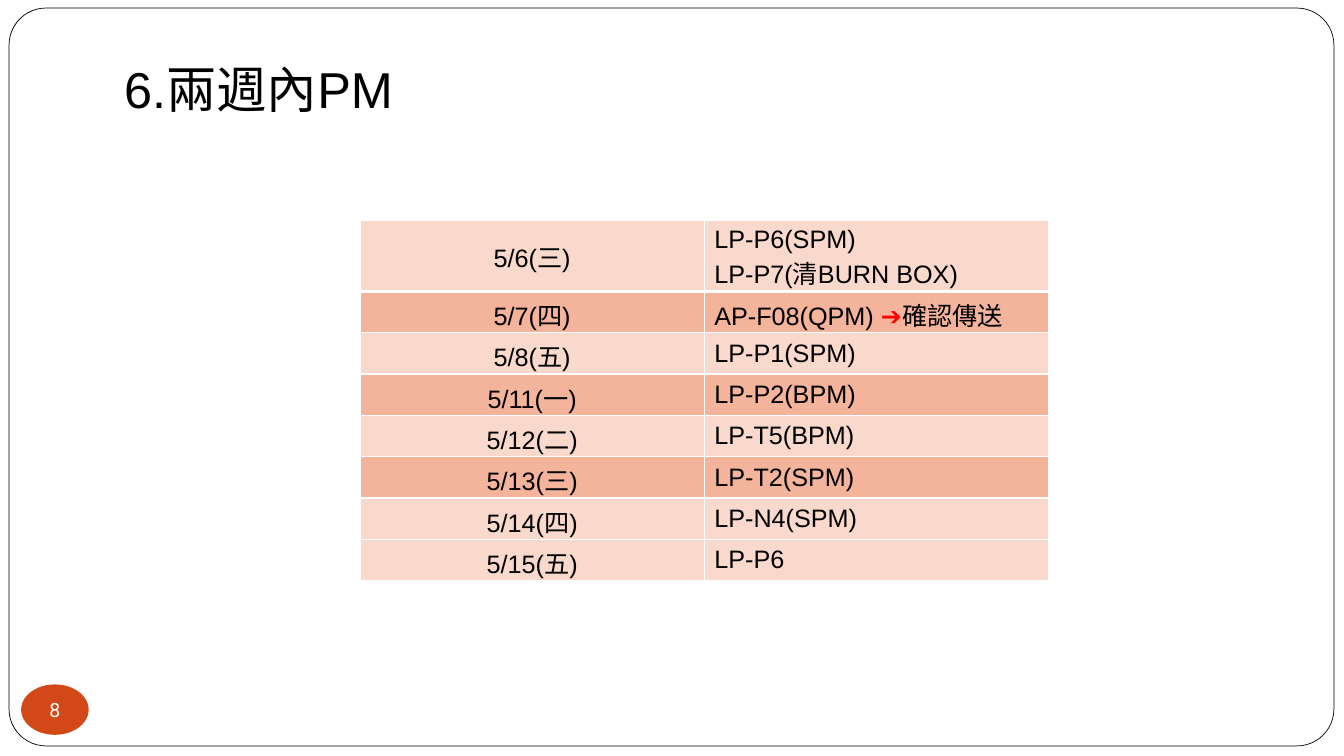
import lxml.etree
import pptx
import pptx.dml.color
import pptx.enum.shapes
import pptx.enum.text
import pptx.oxml.ns
import pptx.util

Inches = pptx.util.Inches
Align = pptx.enum.text.PP_ALIGN
Anchor = pptx.enum.text.MSO_ANCHOR
Shape = pptx.enum.shapes.MSO_SHAPE

LIGHT, DARK = "FAD9CD", "F4B39B"
SCHEDULE = [
    ("5/6(三)", ["LP-P6(SPM)", "LP-P7(清BURN BOX)"], LIGHT),
    ("5/7(四)", [[("AP-F08(QPM)", "000000"), (" ➔", "FF0000"), ("確認傳送", "000000")]], DARK),
    ("5/8(五)", ["LP-P1(SPM)"], LIGHT),
    ("5/11(一)", ["LP-P2(BPM)"], DARK),
    ("5/12(二)", ["LP-T5(BPM)"], LIGHT),
    ("5/13(三)", ["LP-T2(SPM)"], DARK),
    ("5/14(四)", ["LP-N4(SPM)"], LIGHT),
    ("5/15(五)", ["LP-P6"], LIGHT),
]


def rgb(value):
    return pptx.dml.color.RGBColor.from_string(value)


def write(frame, paragraphs, size=18, font="Arial", color="000000", align=Align.LEFT):
    for index, content in enumerate(paragraphs):
        para = frame.paragraphs[0] if index == 0 else frame.add_paragraph()
        para.alignment = align
        spans = [(content, color)] if isinstance(content, str) else content
        for text, span_color in spans:
            span = para.add_run()
            span.text = text
            span.font.size = pptx.util.Pt(size)
            span.font.name = font
            span.font.color.rgb = rgb(span_color)


def add_shape(page, kind, left, top, width, height, fill, line=None):
    shape = page.shapes.add_shape(kind, Inches(left), Inches(top), Inches(width), Inches(height))
    shape.shadow.inherit = False
    shape.fill.solid()
    shape.fill.fore_color.rgb = rgb(fill)
    if line:
        shape.line.color.rgb = rgb(line)
        shape.line.width = pptx.util.Pt(0.5)
    else:
        shape.line.fill.background()
    return shape


def add_frame(page):
    frame = add_shape(page, Shape.ROUNDED_RECTANGLE, 0.09, 0.08, 13.14, 7.32, "FFFFFF", "000000")
    frame.adjustments[0] = 0.05
    page.shapes.title.element.addprevious(frame.element)


def add_page_number(page, number):
    badge = add_shape(page, Shape.OVAL, 0.21, 6.79, 0.67, 0.5, "D34817")
    box = badge.text_frame
    box.margin_left = box.margin_right = box.margin_top = box.margin_bottom = 0
    box.word_wrap = False
    box.vertical_anchor = Anchor.MIDDLE
    write(box, [number], size=14, font="Roboto", color="FFFFFF", align=Align.CENTER)


def set_title(page, text):
    title = page.shapes.title
    title.left, title.top = Inches(1.13), Inches(0.53)
    title.width, title.height = Inches(2.92), Inches(0.71)
    box = title.text_frame
    box.word_wrap = True
    box.auto_size = pptx.enum.text.MSO_AUTO_SIZE.SHAPE_TO_FIT_TEXT
    box.vertical_anchor = Anchor.TOP
    write(box, [text], size=36)


def set_border(cell, side, points):
    qn = pptx.oxml.ns.qn
    properties = cell._tc.get_or_add_tcPr()
    line = lxml.etree.SubElement(properties, qn("a:ln" + side), w=str(pptx.util.Pt(points)))
    fill = lxml.etree.SubElement(line, qn("a:solidFill"))
    lxml.etree.SubElement(fill, qn("a:srgbClr"), val="FFFFFF")


def fill_cell(cell, paragraphs, color, anchor, align, top, bottom):
    for side, points in (("L", 1), ("R", 1), ("T", top), ("B", bottom)):
        set_border(cell, side, points)
    cell.fill.solid()
    cell.fill.fore_color.rgb = rgb(color)
    cell.vertical_anchor = anchor
    write(cell.text_frame, paragraphs, align=align)


def add_schedule(page):
    count = len(SCHEDULE)
    row_height = Inches(0.41)
    table = page.shapes.add_table(
        count, 2, Inches(3.57), Inches(2.19), Inches(6.83), row_height * count
    ).table
    table.first_row = table.horz_banding = False
    for index, (date, tasks, color) in enumerate(SCHEDULE):
        table.rows[index].height = row_height
        top = 3 if index == 1 else 1
        bottom = 3 if index == 0 else 1
        date_anchor = Anchor.MIDDLE if index == 0 else Anchor.TOP
        fill_cell(table.cell(index, 0), [date], color, date_anchor, Align.CENTER, top, bottom)
        fill_cell(table.cell(index, 1), tasks, color, Anchor.MIDDLE, Align.LEFT, top, bottom)


def main():
    deck = pptx.Presentation()
    deck.slide_width, deck.slide_height = Inches(13.33), Inches(7.5)
    page = deck.slides.add_slide(deck.slide_layouts[5])
    add_frame(page)
    add_page_number(page, "8")
    set_title(page, "6.兩週內PM")
    add_schedule(page)
    deck.save("out.pptx")


if __name__ == "__main__":
    main()
